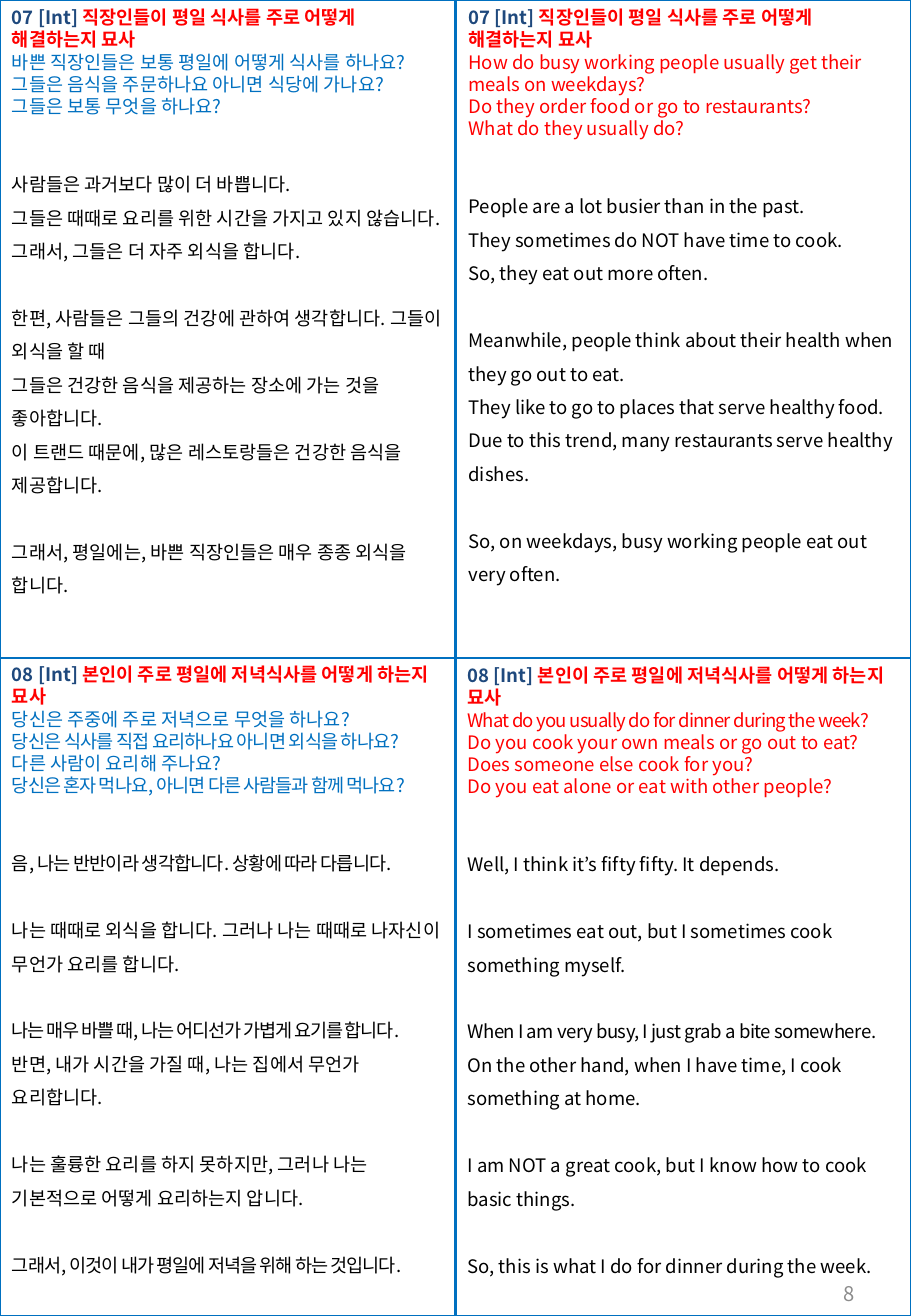
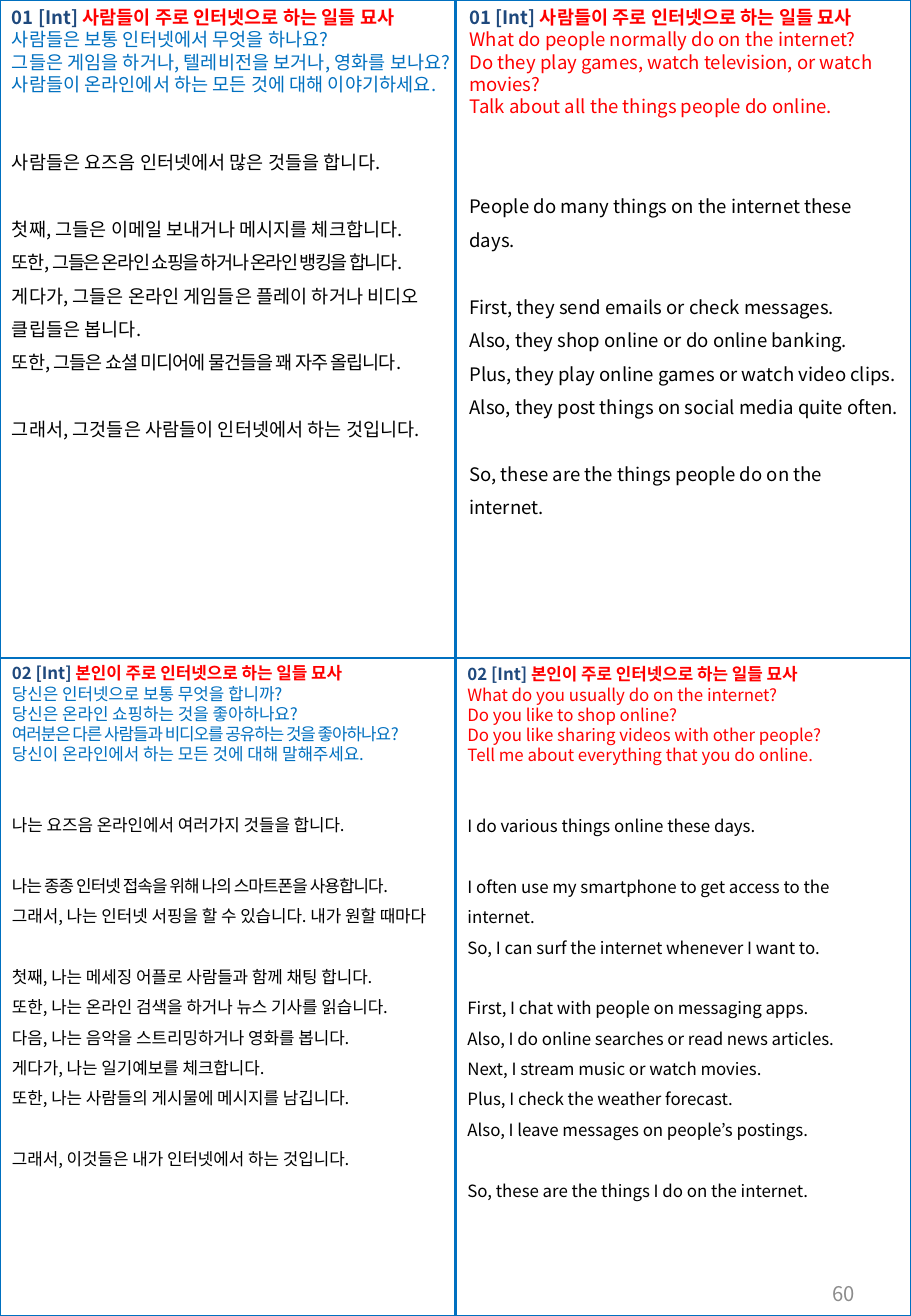
from lxml import etree
from pptx import Presentation
from pptx.dml.color import RGBColor
from pptx.enum.shapes import MSO_CONNECTOR, MSO_SHAPE
from pptx.enum.text import MSO_ANCHOR, MSO_AUTO_SIZE, PP_ALIGN
from pptx.oxml.ns import qn
from pptx.util import Emu, Pt

STRAIGHT, RECTANGLE = MSO_CONNECTOR.STRAIGHT, MSO_SHAPE.RECTANGLE
MIDDLE, RIGHT = MSO_ANCHOR.MIDDLE, PP_ALIGN.RIGHT
GROW = MSO_AUTO_SIZE.SHAPE_TO_FIT_TEXT

PX = 7620  # 120 px to the inch
WIDTH, HEIGHT = 900, 1300
FONT = "Noto Sans CJK KR"
COLORS = {"frame": "0070C0", "number": "1F497D", "title": "FF0000", "korean": "0070C0",
          "english": "FF0000", "answer": "000000", "page": "8C8C8C"}
SINGLE, WIDE = 1.2, 1.8  # line heights in ems

# Each card: left, top, width, height, question colour, gap above the answer in ems,
# questions, answer blocks. A line is a text, or a text with its letter spacing.
PAGES = [
    ("8", [
        (11, "07 [Int] ", "직장인들이 평일 식사를 주로 어떻게 해결하는지 묘사", [
            (0, 0, 450, 652, "korean", 2 * SINGLE, [
                "바쁜 직장인들은 보통 평일에 어떻게 식사를 하나요?",
                "그들은 음식을 주문하나요 아니면 식당에 가나요?",
                "그들은 보통 무엇을 하나요?",
            ], [
                ["사람들은 과거보다 많이 더 바쁩니다.",
                 "그들은 때때로 요리를 위한 시간을 가지고 있지 않습니다.",
                 "그래서, 그들은 더 자주 외식을 합니다."],
                ["한편, 사람들은 그들의 건강에 관하여 생각합니다. 그들이 외식을 할 때",
                 "그들은 건강한 음식을 제공하는 장소에 가는 것을 좋아합니다.",
                 "이 트랜드 때문에, 많은 레스토랑들은 건강한 음식을 제공합니다."],
                ["그래서, 평일에는, 바쁜 직장인들은 매우 종종 외식을 합니다."],
            ]),
            (451, 0, 450, 586, "english", 2 * SINGLE, [
                "How do busy working people usually get their meals on weekdays?",
                "Do they order food or go to restaurants?",
                "What do they usually do?",
            ], [
                ["People are a lot busier than in the past.",
                 "They sometimes do NOT have time to cook.",
                 "So, they eat out more often."],
                ["Meanwhile, people think about their health when they go out to eat.",
                 "They like to go to places that serve healthy food.",
                 "Due to this trend, many restaurants serve healthy dishes."],
                ["So, on weekdays, busy working people eat out very often."],
            ]),
        ]),
        (11, "08 [Int] ", "본인이 주로 평일에 저녁식사를 어떻게 하는지 묘사", [
            (0, 649, 450, 619, "korean", 2 * SINGLE, [
                "당신은 주중에 주로 저녁으로 무엇을 하나요?",
                ("당신은 식사를 직접 요리하나요 아니면 외식을 하나요?", -0.5),
                "다른 사람이 요리해 주나요?",
                ("당신은 혼자 먹나요, 아니면 다른 사람들과 함께 먹나요?", -0.6),
            ], [
                [("음, 나는 반반이라 생각합니다. 상황에 따라 다릅니다.", -0.5)],
                ["나는 때때로 외식을 합니다. 그러나 나는 때때로 나자신이 무언가 요리를 합니다."],
                [("나는 매우 바쁠 때, 나는 어디선가 가볍게 요기를 합니다.", -0.7),
                 "반면, 내가 시간을 가질 때, 나는 집에서 무언가 요리합니다."],
                ["나는 훌륭한 요리를 하지 못하지만, 그러나 나는 기본적으로 어떻게 요리하는지 압니다."],
                [("그래서, 이것이 내가 평일에 저녁을 위해 하는 것입니다.", -0.6)],
            ]),
            (450, 650, 450, 619, "english", 2 * SINGLE, [
                ("What do you usually do for dinner during the week?", -0.5),
                "Do you cook your own meals or go out to eat?",
                "Does someone else cook for you?",
                "Do you eat alone or eat with other people?",
            ], [
                ["Well, I think it’s fifty fifty. It depends."],
                ["I sometimes eat out, but I sometimes cook something myself."],
                [("When I am very busy, I just grab a bite somewhere.", -0.3),
                 "On the other hand, when I have time, I cook something at home."],
                ["I am NOT a great cook, but I know how to cook basic things."],
                ["So, this is what I do for dinner during the week."],
            ]),
        ]),
    ]),
    ("60", [
        (11, "01 [Int] ", "사람들이 주로 인터넷으로 하는 일들 묘사", [
            (0, 0, 450, 518, "korean", 2 * SINGLE, [
                "사람들은 보통 인터넷에서 무엇을 하나요?",
                "그들은 게임을 하거나, 텔레비전을 보거나, 영화를 보나요?",
                "사람들이 온라인에서 하는 모든 것에 대해 이야기하세요.",
            ], [
                ["사람들은 요즈음 인터넷에서 많은 것들을 합니다."],
                ["첫째, 그들은 이메일 보내거나 메시지를 체크합니다.",
                 ("또한, 그들은 온라인 쇼핑을 하거나 온라인 뱅킹을 합니다.", -0.9),
                 "게다가, 그들은 온라인 게임들은 플레이 하거나 비디오 클립들은 봅니다.",
                 ("또한, 그들은 쇼셜 미디어에 물건들을 꽤 자주 올립니다.", -0.6)],
                ["그래서, 그것들은 사람들이 인터넷에서 하는 것입니다."],
            ]),
            (452, 0, 450, 486, "english", 2 * WIDE, [
                "What do people normally do on the internet?",
                "Do they play games, watch television, or watch movies?",
                "Talk about all the things people do online.",
            ], [
                ["People do many things on the internet these days."],
                ["First, they send emails or check messages.",
                 "Also, they shop online or do online banking.",
                 "Plus, they play online games or watch video clips.",
                 "Also, they post things on social media quite often."],
                ["So, these are the things people do on the internet."],
            ]),
        ]),
        (10, "02 [Int] ", "본인이 주로 인터넷으로 하는 일들 묘사", [
            (0, 649, 444, 544, "korean", 2 * SINGLE, [
                "당신은 인터넷으로 보통 무엇을 합니까?",
                "당신은 온라인 쇼핑하는 것을 좋아하나요?",
                ("여러분은 다른 사람들과 비디오를 공유하는 것을 좋아하나요?", -0.6),
                "당신이 온라인에서 하는 모든 것에 대해 말해주세요.",
            ], [
                ["나는 요즈음 온라인에서 여러가지 것들을 합니다."],
                [("나는 종종 인터넷 접속을 위해 나의 스마트폰을 사용합니다.", -0.5),
                 "그래서, 나는 인터넷 서핑을 할 수 있습니다. 내가 원할 때마다"],
                ["첫째, 나는 메세징 어플로 사람들과 함께 채팅 합니다.",
                 "또한, 나는 온라인 검색을 하거나 뉴스 기사를 읽습니다.",
                 "다음, 나는 음악을 스트리밍하거나 영화를 봅니다.",
                 "게다가, 나는 일기예보를 체크합니다.",
                 "또한, 나는 사람들의 게시물에 메시지를 남깁니다."],
                ["그래서, 이것들은 내가 인터넷에서 하는 것입니다."],
            ]),
            (450, 650, 450, 544, "english", 2 * SINGLE, [
                "What do you usually do on the internet?",
                "Do you like to shop online?",
                "Do you like sharing videos with other people?",
                "Tell me about everything that you do online.",
            ], [
                ["I do various things online these days."],
                ["I often use my smartphone to get access to the internet.",
                 "So, I can surf the internet whenever I want to."],
                ["First, I chat with people on messaging apps.",
                 "Also, I do online searches or read news articles.",
                 "Next, I stream music or watch movies.",
                 "Plus, I check the weather forecast.",
                 "Also, I leave messages on people’s postings."],
                ["So, these are the things I do on the internet."],
            ]),
        ]),
    ]),
]


def add_box(page, *edges):
    box = page.shapes.add_textbox(*(Emu(edge * PX) for edge in edges))
    box.text_frame.word_wrap = True
    return box


def add_span(para, text, size, color, bold=False, spacing=0):
    span = para.add_run()
    span.text = text
    span.font.size, span.font.bold, span.font.name = Pt(size), bold, FONT
    span.font.color.rgb = RGBColor.from_string(COLORS[color])
    properties = span._r.get_or_add_rPr()
    etree.SubElement(properties, qn("a:ea"), typeface=FONT)
    if spacing:
        properties.set("spc", str(round(spacing * 100)))


deck = Presentation()
deck.slide_width, deck.slide_height = Emu(WIDTH * PX), Emu(HEIGHT * PX)

for page_number, topics in PAGES:
    page = deck.slides.add_slide(deck.slide_layouts[6])

    # Cross lines and outer frame
    outlines = []
    for ends in [(0, HEIGHT // 2, WIDTH, HEIGHT // 2), (WIDTH // 2, 0, WIDTH // 2, HEIGHT)]:
        outlines.append(page.shapes.add_connector(STRAIGHT, *(Emu(end * PX) for end in ends)))
    frame = page.shapes.add_shape(RECTANGLE, 0, 0, deck.slide_width, deck.slide_height)
    frame.fill.background()
    for outline in outlines + [frame]:
        outline.line.color.rgb = RGBColor.from_string(COLORS["frame"])
        outline.line.width = Pt(1.5)
        etree.SubElement(outline._element.spPr, qn("a:effectLst"))

    # Page number, below the last answer line
    box = add_box(page, 646, 1258, 210, 40)
    box.text_frame.margin_top = box.text_frame.margin_bottom = 0
    box.text_frame.vertical_anchor = MIDDLE
    para = box.text_frame.paragraphs[0]
    para.alignment = RIGHT
    add_span(para, page_number, 12, "page")

    # Question and answer cards
    for size, number, title, cards in topics:
        for left, top, width, height, question_color, answer_gap, questions, answers in cards:
            box = add_box(page, left, top, width, height)
            box.text_frame.auto_size = GROW
            para = box.text_frame.paragraphs[0]
            para.line_spacing = Pt(size * SINGLE)
            add_span(para, number, size, "number", bold=True)
            add_span(para, title, size, "title", bold=True)

            lines = [(line, question_color, SINGLE, 0) for line in questions]
            for block_index, block in enumerate(answers):
                for line_index, line in enumerate(block):
                    gap = 0 if line_index else WIDE if block_index else answer_gap
                    lines.append((line, "answer", WIDE, gap))

            for line, color, line_height, gap in lines:
                text, spacing = (line, 0) if isinstance(line, str) else line
                para = box.text_frame.add_paragraph()
                para.line_spacing = Pt(size * line_height)
                para.space_before = Pt(size * gap)
                add_span(para, text, size, color, spacing=spacing)

deck.save("out.pptx")
